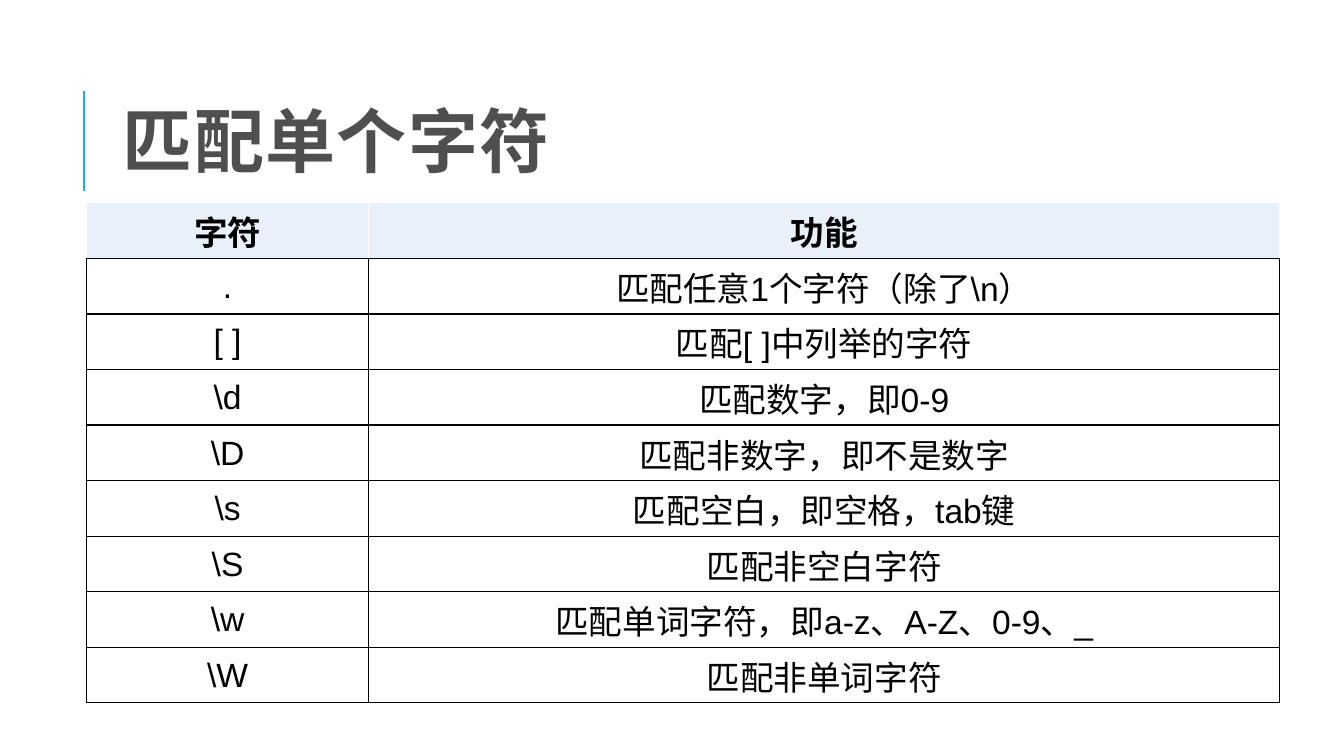
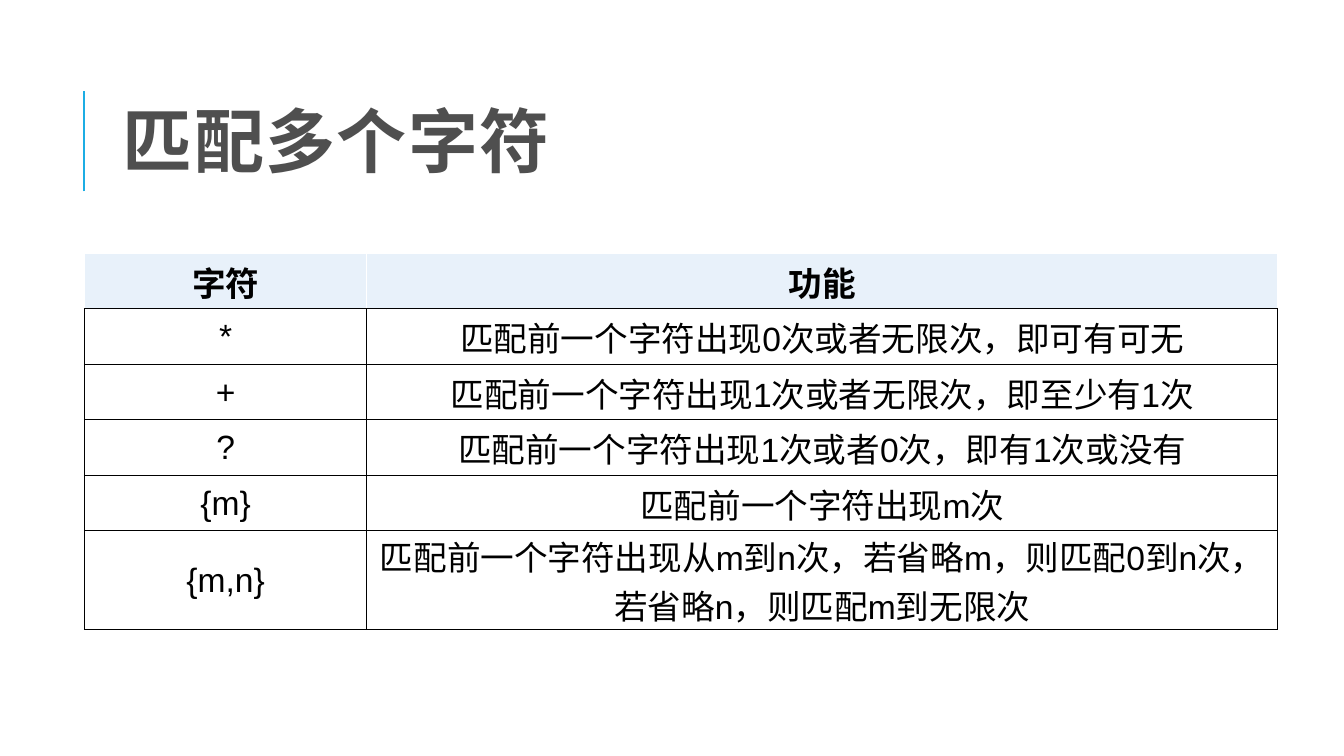
from lxml.etree import SubElement
from pptx import Presentation
from pptx.dml.color import RGBColor
from pptx.enum.shapes import MSO_CONNECTOR
from pptx.enum.text import MSO_ANCHOR, MSO_AUTO_SIZE, PP_ALIGN
from pptx.oxml import parse_xml
from pptx.oxml.ns import nsdecls, qn
from pptx.util import Cm, Pt

# Shared look
BLACK, WHITE, GREY = "000000", "FFFFFF", "4F4F4F"
BLUE, PALE = "1CADE4", "E8F1FA"
HAN = "Noto Sans CJK SC"
TITLE = {"size": Pt(50), "bold": True, "name": HAN}
HEAD = {"size": Pt(24), "bold": True}
BODY = {"size": Pt(24), "bold": False, "name": "Arial"}
CELL = {"vertical_anchor": MSO_ANCHOR.MIDDLE, "margin_left": Cm(0.03),
        "margin_top": Cm(0.03), "margin_right": Cm(0.03), "margin_bottom": 0}
FRAME = {"vertical_anchor": MSO_ANCHOR.MIDDLE, "word_wrap": True,
         "auto_size": MSO_AUTO_SIZE.NONE}
TITLE_BOX = (2.84, 1.63, 27, 4.17)
COLS, ROW = (7.11, 22.96), 1.4

# Table content
LABELS = ("字符", "功能")
SINGLE = [
    (".", "匹配任意1个字符（除了\\n）"),
    ("[ ]", "匹配[ ]中列举的字符"),
    ("\\d", "匹配数字，即0-9"),
    ("\\D", "匹配非数字，即不是数字"),
    ("\\s", "匹配空白，即空格，tab键"),
    ("\\S", "匹配非空白字符"),
    ("\\w", "匹配单词字符，即a-z、A-Z、0-9、_"),
    ("\\W", "匹配非单词字符"),
]
MULTI = [
    ("*", "匹配前⼀个字符出现0次或者无限次，即可有可无"),
    ("+", "匹配前⼀个字符出现1次或者无限次，即至少有1次"),
    ("?", "匹配前⼀个字符出现1次或者0次，即有1次或没有"),
    ("{m}", "匹配前⼀个字符出现m次"),
    ("{m,n}", "匹配前⼀个字符出现从m到n次，若省略m，则匹配0到n次，"
              "若省略n，则匹配m到无限次"),
]


def paint(color, tone):
    color.rgb = RGBColor.from_string(tone)


def apply(target, style):
    for key, value in style.items():
        setattr(target, key, value)


def write(frame, text, style, tone, align):
    """Write one styled run and return its paragraph."""
    para = frame.paragraphs[0]
    para.alignment = align
    run = para.add_run()
    run.text = text
    apply(run.font, style)
    paint(run.font.color, tone)
    SubElement(run.font._element, qn("a:ea"), typeface=HAN)
    return para


def border(cell, tones):
    """Draw the left, right, top and bottom edges, one point wide."""
    props = cell._tc.get_or_add_tcPr()
    for spot, (side, tone) in enumerate(zip("LRTB", tones)):
        props.insert(spot, parse_xml(
            f'<a:ln{side} {nsdecls("a")} w="{Pt(1)}"><a:solidFill>'
            f'<a:srgbClr val="{tone}"/></a:solidFill></a:ln{side}>'))


def add_title(slide, text, box):
    left, top, width, height = box
    title = slide.shapes.title
    apply(title, dict(zip(("left", "top", "width", "height"), map(Cm, box))))
    apply(title.text_frame, FRAME)
    para = write(title.text_frame, text, TITLE, GREY, PP_ALIGN.LEFT)
    para.line_spacing = 0.8
    para.runs[0].font._element.set("spc", "100")

    # Accent rule beside the title
    side, mid = Cm(left - 0.73), top + height / 2 - 0.16
    rule = slide.shapes.add_connector(
        MSO_CONNECTOR.STRAIGHT, side, Cm(mid + 1.27), side, Cm(mid - 1.27))
    rule.line.width = Pt(1.5)
    paint(rule.line.color, BLUE)
    SubElement(rule._element.spPr, qn("a:effectLst"))


def add_grid(slide, rows, left, top, font):
    rows = [LABELS, *rows]
    table = slide.shapes.add_table(
        len(rows), len(COLS), Cm(left), Cm(top),
        Cm(sum(COLS)), Cm(ROW * len(rows))).table
    apply(table, {"first_row": False, "horz_banding": False})
    for col, width in zip(table.columns, COLS):
        col.width = Cm(width)
    for r, row in enumerate(rows):
        # The first row is the header
        style, fill, edge = (BODY, WHITE, BLACK) if r else (
            {**HEAD, "name": font}, PALE, WHITE)
        for c, text in enumerate(row):
            cell = table.cell(r, c)
            apply(cell, CELL)
            cell.fill.solid()
            paint(cell.fill.fore_color, fill)
            border(cell, (edge, edge, edge, BLACK))
            write(cell.text_frame, text, style, BLACK, PP_ALIGN.CENTER)


def add_page(deck, title, rows, left, top, font):
    slide = deck.slides.add_slide(deck.slide_layouts[5])
    add_title(slide, title, TITLE_BOX)
    add_grid(slide, rows, left, top, font)


def main():
    deck = Presentation()
    deck.slide_width, deck.slide_height = Cm(33.87), Cm(19.05)
    add_page(deck, "匹配单个字符", SINGLE, 2.18, 5.11, "Calibri")
    add_page(deck, "匹配多个字符", MULTI, 2.13, 6.38, "Arial")
    deck.save("out.pptx")


if __name__ == "__main__":
    main()
